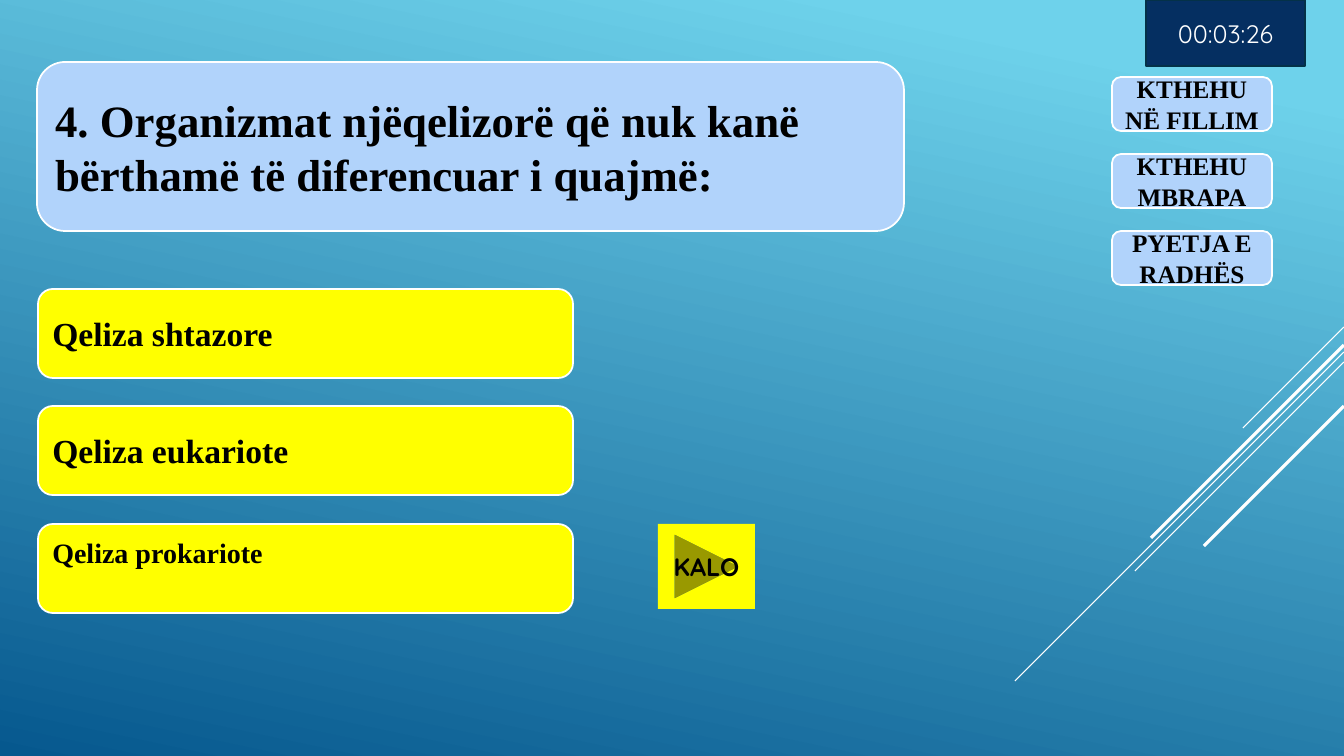
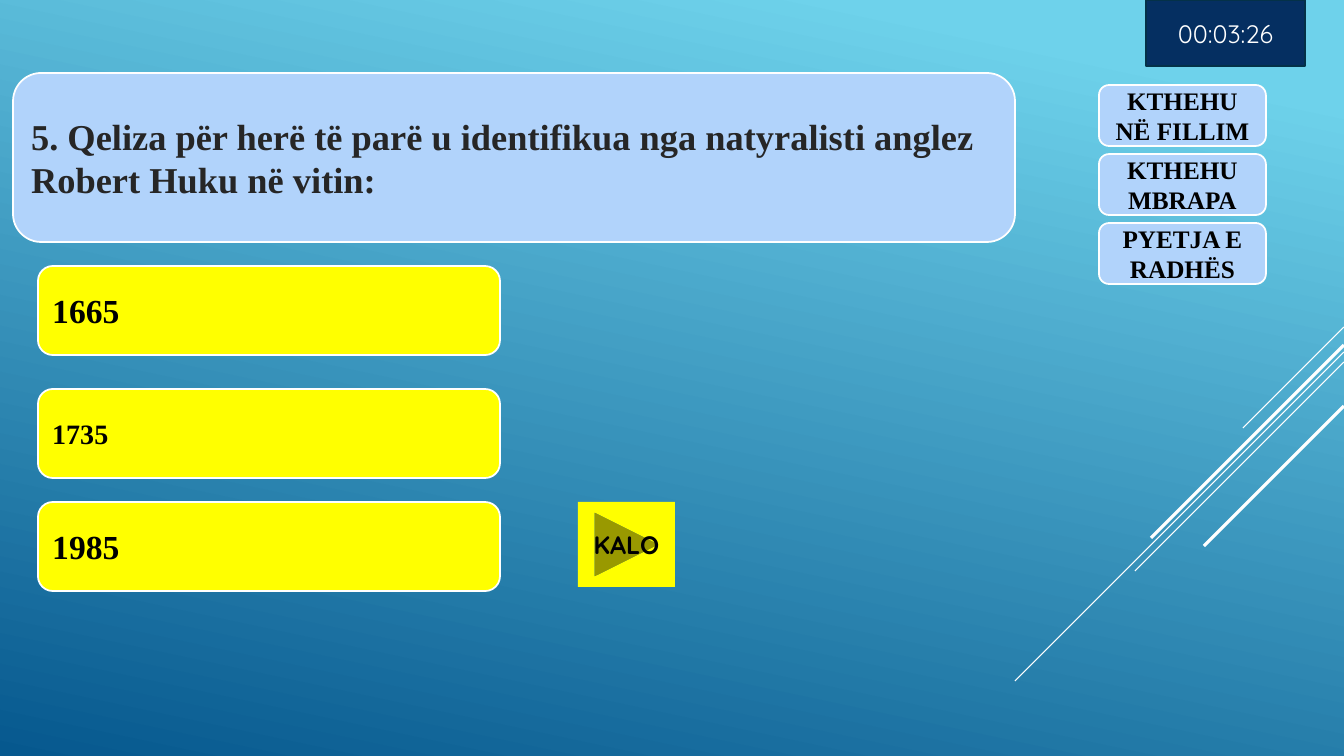
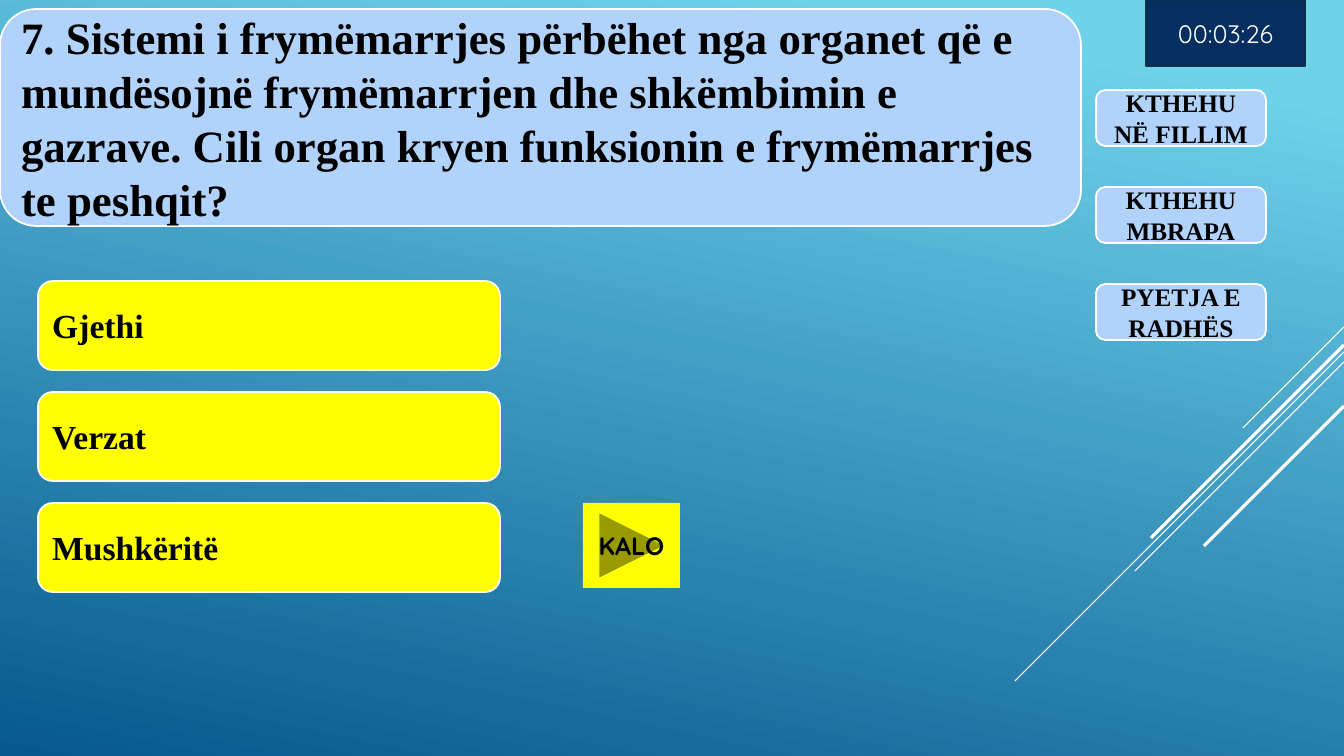
from lxml.etree import SubElement
from pptx import Presentation
from pptx.dml.color import RGBColor
from pptx.enum.shapes import MSO_CONNECTOR, MSO_SHAPE
from pptx.enum.text import MSO_ANCHOR, MSO_AUTO_SIZE, PP_ALIGN
from pptx.oxml.ns import qn
from pptx.util import Pt

SLIDE_W, SLIDE_H = 1344, 756
SCALE = 12192000 / SLIDE_W

SKY = RGBColor(0x6E, 0xD2, 0xEB)
DEEP = RGBColor(0x06, 0x58, 0x8E)
PALE = RGBColor(0xB1, 0xD3, 0xFB)
YELLOW = RGBColor(0xFF, 0xFF, 0x00)
NAVY = RGBColor(0x05, 0x2F, 0x61)
NAVY_EDGE = RGBColor(0x04, 0x31, 0x48)
WHITE = RGBColor(0xFF, 0xFF, 0xFF)
BLACK = RGBColor(0x00, 0x00, 0x00)
CHARCOAL = RGBColor(0x26, 0x26, 0x26)

SERIF, SANS = "Times New Roman", "Quicksand"

NAV_LABELS = ["KTHEHU NË FILLIM", "KTHEHU MBRAPA", "PYETJA E RADHËS"]
TIMER = ("00:03:26", (1146, 0, 159, 66))
ANSWER_LEFT, ANSWER_H = 38, 89
SKIP_W, SKIP_H = 97, 85
CORNER_INSET = 0.05  # part of a panel's height that its round corners take from the text

# Diagonals fall at 45 degrees from the right edge: top, run, line width
DIAGONALS = [(327, 101, 0.75), (352, 329, 0.75), (362, 209, 0.75),
             (345, 193, 2.25), (406, 140, 2.25)]

# nav: left, first top, width, height, pitch
# answers: text, top, size, room kept free below the text
QUIZ = [
    dict(question="4. Organizmat njëqelizorë që nuk kanë bërthamë të diferencuar "
                  "i quajmë:",
         box=(37, 62, 867, 169), size=32, color=BLACK,
         nav=(1112, 77, 160, 54, 77), answer_w=535, skip_left=658,
         answers=[("Qeliza shtazore", 289, 24, 5),
                  ("Qeliza eukariote", 406, 24, 5),
                  ("Qeliza prokariote", 524, 20, 37)]),
    dict(question="5. Qeliza për herë të parë u identifikua nga natyralisti anglez "
                  "Robert Huku në vitin:",
         box=(13, 73, 1002, 169), size=26, color=CHARCOAL,
         nav=(1099, 85, 167, 61, 69), answer_w=462, skip_left=578,
         answers=[("1665", 266, 24, 5), ("1735", 389, 20, 5), ("1985", 502, 24, 5)]),
    dict(question="7. Sistemi i frymëmarrjes përbëhet nga organet që e mundësojnë "
                  "frymëmarrjen dhe shkëmbimin e gazrave. Cili organ kryen "
                  "funksionin e frymëmarrjes te peshqit?",
         box=(0, 9, 1081, 217), size=32, color=BLACK,
         nav=(1096, 90, 170, 56, 97), answer_w=462, skip_left=583,
         answers=[("Gjethi", 281, 24, 5), ("Verzat", 392, 24, 5),
                  ("Mushkëritë", 503, 24, 5)]),
]


def px(n):
    return round(n * SCALE)


def write(sp, text, size, color=BLACK, font=SERIF, bold=True, align=PP_ALIGN.LEFT):
    tf = sp.text_frame
    tf.word_wrap = True
    tf.auto_size = MSO_AUTO_SIZE.NONE
    tf.vertical_anchor = MSO_ANCHOR.MIDDLE
    p = tf.paragraphs[0]
    p.alignment = align
    r = p.add_run()
    r.text = text
    r.font.name, r.font.size, r.font.bold = font, Pt(size), bold
    r.font.color.rgb = color


def add_box(slide, kind, box, fill, edge=WHITE):
    sp = slide.shapes.add_shape(kind, *map(px, box))
    sp.shadow.inherit = False
    sp.fill.solid()
    sp.fill.fore_color.rgb = fill
    if edge is None:
        sp.line.fill.background()
    else:
        sp.line.color.rgb = edge
        sp.line.width = Pt(1.25)
    return sp


def add_question(slide, quiz):
    """Lay the title over a rounded panel, clear of the panel's corners."""
    title = slide.shapes.title
    panel = add_box(slide, MSO_SHAPE.ROUNDED_RECTANGLE, quiz["box"], PALE)
    title.element.addprevious(panel.element)
    left, top, w, h = quiz["box"]
    inset = round(h * CORNER_INSET)
    title.left, title.top = px(left + inset), px(top + inset)
    title.width, title.height = px(w - 2 * inset), px(h - 2 * inset)
    write(title, quiz["question"], quiz["size"], quiz["color"])


def add_quiz_slide(prs, quiz):
    slide = prs.slides.add_slide(prs.slide_layouts[5])
    add_question(slide, quiz)

    for text, top, size, room in quiz["answers"]:
        sp = add_box(slide, MSO_SHAPE.ROUNDED_RECTANGLE,
                     (ANSWER_LEFT, top, quiz["answer_w"], ANSWER_H), YELLOW)
        write(sp, text, size)
        sp.text_frame.margin_bottom = px(room)

    left, first, w, h, pitch = quiz["nav"]
    for i, label in enumerate(NAV_LABELS):
        sp = add_box(slide, MSO_SHAPE.ROUNDED_RECTANGLE,
                     (left, first + i * pitch, w, h), PALE)
        write(sp, label, 18, align=PP_ALIGN.CENTER)

    last_top = quiz["answers"][-1][1]
    skip = add_box(slide, MSO_SHAPE.ACTION_BUTTON_FORWARD_OR_NEXT,
                   (quiz["skip_left"], last_top, SKIP_W, SKIP_H), YELLOW, None)
    write(skip, "KALO", 18, font=SANS, align=PP_ALIGN.CENTER)

    text, box = TIMER
    timer = add_box(slide, MSO_SHAPE.RECTANGLE, box, NAVY, NAVY_EDGE)
    write(timer, text, 18, WHITE, SANS, False, PP_ALIGN.CENTER)
    return slide


def style_master(master, slide):
    """Give the master its gradient and diagonals; the lines are drawn on slide, then moved."""
    fill = master.background.fill
    fill.gradient()
    fill.gradient_angle = 360 - 102
    for stop, color, position in zip(fill.gradient_stops, (SKY, DEEP), (0.1, 1)):
        stop.color.rgb = color
        stop.position = position

    for i, (top, run, width) in enumerate(DIAGONALS):
        line = slide.shapes.add_connector(
            MSO_CONNECTOR.STRAIGHT, px(SLIDE_W), px(top), px(SLIDE_W - run), px(top + run))
        line.line.color.rgb = WHITE
        line.line.width = Pt(width)
        SubElement(line.element.spPr, qn("a:effectLst"))
        line.element.nvCxnSpPr.cNvPr.set("id", str(20 + i))
        master.shapes.element.append(line.element)


def main():
    prs = Presentation()
    prs.slide_width, prs.slide_height = px(SLIDE_W), px(SLIDE_H)
    slides = [add_quiz_slide(prs, quiz) for quiz in QUIZ]
    style_master(prs.slide_master, slides[0])
    prs.save("out.pptx")


if __name__ == "__main__":
    main()
